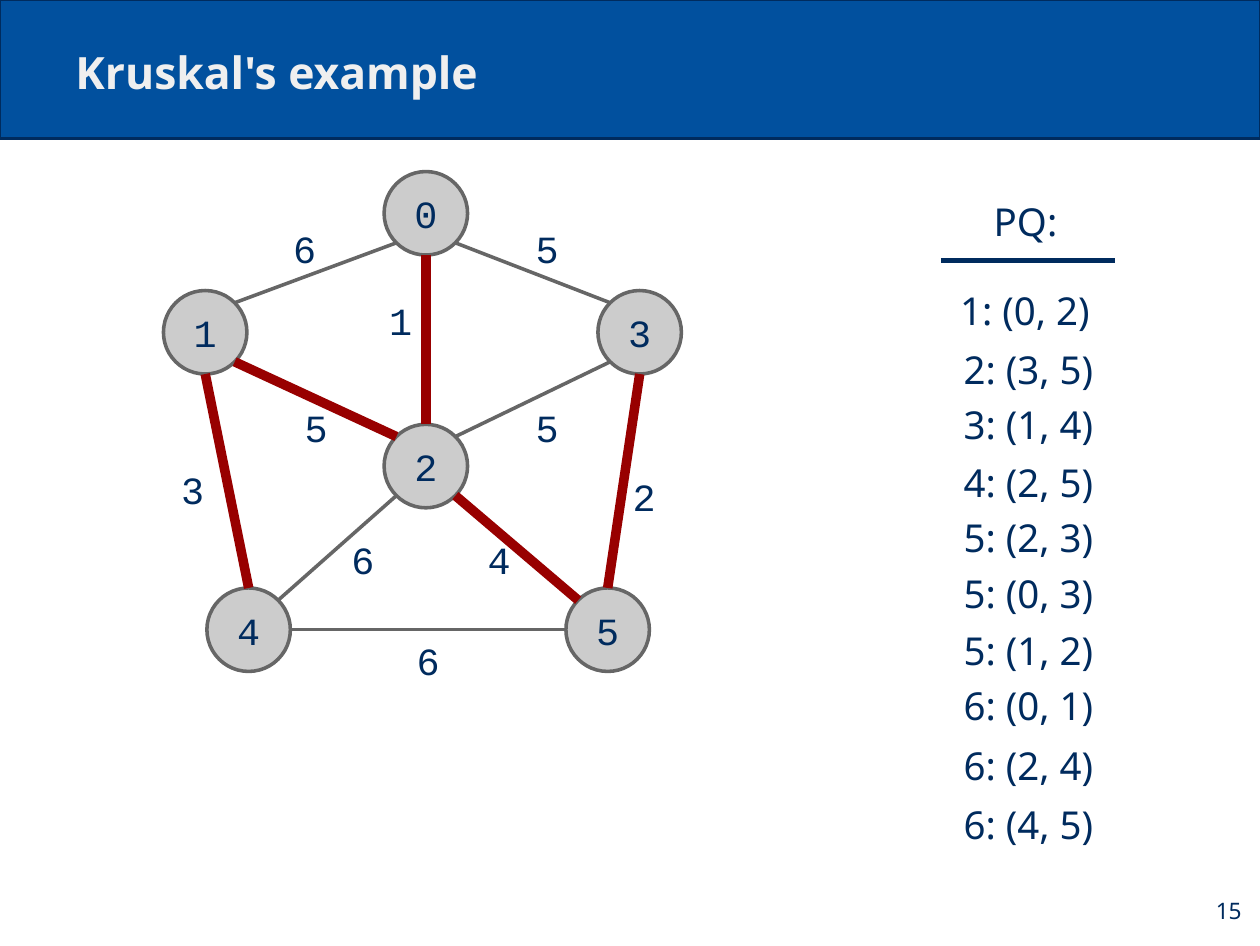
from math import atan2, cos, pi, sin

from lxml import etree
from pptx import Presentation
from pptx.dml.color import RGBColor
from pptx.enum.shapes import MSO_CONNECTOR, MSO_SHAPE
from pptx.enum.text import MSO_ANCHOR, PP_ALIGN
from pptx.oxml.ns import qn
from pptx.util import Inches, Pt

STRAIGHT = MSO_CONNECTOR.STRAIGHT
RECTANGLE, OVAL = MSO_SHAPE.RECTANGLE, MSO_SHAPE.OVAL
MIDDLE, BOTTOM = MSO_ANCHOR.MIDDLE, MSO_ANCHOR.BOTTOM
LEFT, CENTER, RIGHT = PP_ALIGN.LEFT, PP_ALIGN.CENTER, PP_ALIGN.RIGHT

NAVY, GRAY, RED = "002B5E", "666666", "980000"
SANS, MONO = "Noto Sans", "Courier New"
BODY_SIZE = 24.2
DIAMETER = 0.73
INSET = 0.11

# Vertex: left, top
VERTICES = {
    0: (3.36, 1.5),
    1: (1.43, 2.54),
    3: (5.23, 2.54),
    2: (3.36, 3.71),
    4: (1.81, 5.14),
    5: (4.95, 5.14),
}
# Start vertex, end vertex, weight, left and top of the weight, in spanning tree
EDGES = [
    (1, 0, 6, 2.3, 1.8, False),
    (0, 3, 5, 4.42, 1.8, False),
    (0, 2, 1, 3.14, 2.43, True),
    (1, 2, 5, 2.4, 3.37, True),
    (3, 2, 5, 4.42, 3.37, False),
    (1, 4, 3, 1.32, 3.91, True),
    (3, 5, 2, 5.27, 3.97, True),
    (2, 5, 4, 4, 4.52, True),
    (4, 2, 6, 2.81, 4.52, False),
    (4, 5, 6, 3.38, 5.41, False),
]
# Queue entry, left, top
QUEUE = [
    ("1: (0, 2)", 8.26, 2.46),
    ("2: (3, 5)", 8.29, 2.97),
    ("3: (1, 4)", 8.29, 3.45),
    ("4: (2, 5)", 8.29, 3.96),
    ("5: (2, 3)", 8.29, 4.44),
    ("5: (0, 3)", 8.29, 4.93),
    ("5: (1, 2)", 8.29, 5.43),
    ("6: (0, 1)", 8.29, 5.91),
    ("6: (2, 4)", 8.29, 6.43),
    ("6: (4, 5)", 8.29, 6.95),
]

presentation = Presentation()
presentation.slide_width = Inches(11.02)
presentation.slide_height = Inches(8.27)
slide = presentation.slides.add_slide(presentation.slide_layouts[6])
shapes = slide.shapes


def write(shape, text, font=SANS, size=BODY_SIZE, color=NAVY, align=CENTER,
          anchor=MIDDLE, bold=False):
    frame = shape.text_frame
    frame.word_wrap = True
    frame.vertical_anchor = anchor
    frame.margin_left = frame.margin_right = Inches(INSET)
    frame.margin_top = frame.margin_bottom = Inches(INSET)
    paragraph = frame.paragraphs[0]
    paragraph.alignment = align
    run = paragraph.add_run()
    run.text = text
    run.font.name = font
    run.font.size = Pt(size)
    run.font.bold = bold
    run.font.color.rgb = RGBColor.from_string(color)


def add_line(start, end, color, width):
    line = shapes.add_connector(STRAIGHT, *map(Inches, (*start, *end)))
    line.line.color.rgb = RGBColor.from_string(color)
    line.line.width = Pt(width)
    etree.SubElement(line._element.spPr, qn("a:effectLst"))


# Header
header = shapes.add_shape(RECTANGLE, 0, 0, presentation.slide_width, Inches(1.21))
header.shadow.inherit = False
header.fill.solid()
header.fill.fore_color.rgb = RGBColor.from_string("01509E")
header.line.color.rgb = RGBColor.from_string(NAVY)
header.line.width = Pt(1.5)
title = shapes.add_textbox(Inches(0.55), Inches(0.24), Inches(9.92), Inches(0.73))
write(title, "Kruskal's example", size=28, color="EFEFEF", align=LEFT,
      anchor=BOTTOM, bold=True)

# Vertices
for vertex, (left, top) in VERTICES.items():
    circle = shapes.add_shape(OVAL, Inches(left), Inches(top),
                              Inches(DIAMETER), Inches(DIAMETER))
    circle.shadow.inherit = False
    circle.fill.solid()
    circle.fill.fore_color.rgb = RGBColor.from_string("CCCCCC")
    circle.line.color.rgb = RGBColor.from_string(GRAY)
    circle.line.width = Pt(2.25)
    write(circle, str(vertex), MONO)

# Edges leave each circle at the multiple of 45 degrees nearest their direction
radius = DIAMETER / 2
tree_lines = []
for first, second, weight, left, top, in_tree in EDGES:
    x1, y1 = (value + radius for value in VERTICES[first])
    x2, y2 = (value + radius for value in VERTICES[second])
    angle = round(atan2(y2 - y1, x2 - x1) / (pi / 4)) * pi / 4
    dx, dy = radius * cos(angle), radius * sin(angle)
    start, end = (x1 + dx, y1 + dy), (x2 - dx, y2 - dy)
    add_line(start, end, GRAY, 2.25)
    if in_tree:
        tree_lines.append((start, end))
    label = shapes.add_textbox(Inches(left), Inches(top),
                               Inches(DIAMETER), Inches(DIAMETER))
    write(label, str(weight), MONO)

# Priority queue
heading = shapes.add_textbox(Inches(8.17), Inches(1.57), Inches(1.6), Inches(0.73))
write(heading, "PQ:")
add_line((8.23, 2.28), (9.75, 2.28), NAVY, 3)
for entry, left, top in QUEUE:
    row = shapes.add_textbox(Inches(left), Inches(top), Inches(1.41), Inches(0.51))
    write(row, entry)

# Spanning tree
for start, end in tree_lines:
    add_line(start, end, RED, 6)

page_number = shapes.add_textbox(Inches(10.31), Inches(7.64), Inches(0.66), Inches(0.63))
write(page_number, "15", size=14.3, align=RIGHT)

presentation.save("out.pptx")
